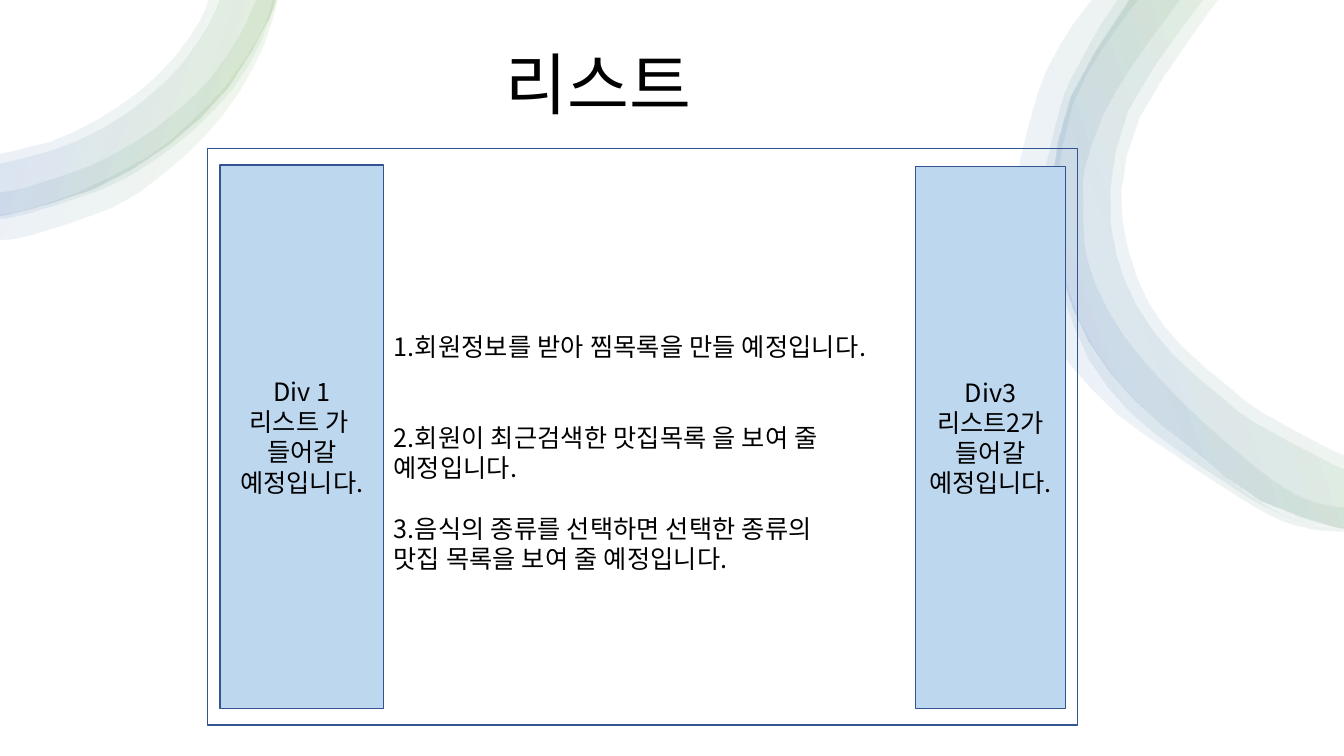
from dataclasses import dataclass

from lxml import etree
from pptx import Presentation
from pptx.dml.color import RGBColor
from pptx.enum.shapes import MSO_SHAPE
from pptx.enum.text import MSO_ANCHOR, PP_ALIGN
from pptx.oxml.ns import qn
from pptx.util import Pt

RECTANGLE = MSO_SHAPE.RECTANGLE
MIDDLE = MSO_ANCHOR.MIDDLE
LEFT, CENTER = PP_ALIGN.LEFT, PP_ALIGN.CENTER


@dataclass(frozen=True)
class Theme:
    """Colours, type sizes and line settings of the slide."""
    font: str = "Noto Sans CJK KR"
    ink: str = "000000"
    panel: str = "BDD7EE"
    outline: str = "325491"
    title_size: int = 48
    body_size: int = 18
    body_tracking: float = 0.15
    leading: float = 1.2
    line_width: int = 1
    ribbon_stops: tuple = ((2, "FFFFFF"), (16, "70AD47"), (85, "4472C4"), (100, "FFFFFF"))
    ribbon_opacity: int = 10
    left_angle: int = 160
    right_angle: int = 200


THEME = Theme()

# Each ribbon is a pair of edges in points; the page edge closes both ends.
LEFT_OUTER = [(197, 0), (192, 14), (163, 63), (120, 104), (67, 135), (7, 153), (0, 153)]
LEFT_RIBBONS = [
    ([(198, 0), (189, 30), (171, 65), (146, 97), (115, 125), (80, 148), (20, 168), (0, 171)],
     [(0, 153), (16, 150), (53, 138), (105, 112), (135, 88), (162, 60), (184, 27),
      (192, 9), (194, 0)]),
    (LEFT_OUTER,
     [(0, 110), (37, 101), (69, 86), (99, 66), (124, 42), (143, 15), (149, 0)]),
    ([(197, 0), (186, 31), (166, 64), (139, 92), (108, 116), (73, 135), (17, 153), (0, 156)],
     [(0, 137), (13, 135), (30, 130), (65, 118), (97, 101), (127, 79), (152, 54),
      (172, 24), (179, 9), (183, 0)]),
    (LEFT_OUTER,
     [(0, 117), (39, 107), (73, 92), (104, 71), (130, 46), (149, 18), (157, 0)]),
]
RIGHT_OUTER = [(807, 0), (799, 12), (765, 69), (751, 136), (758, 194), (778, 244),
               (810, 285), (852, 321), (900, 357), (954, 376), (960, 376)]
RIGHT_RIBBONS = [
    ([(780, 0), (765, 20), (752, 42), (742, 65), (729, 114), (728, 140), (729, 166),
      (741, 215), (751, 239), (764, 260), (798, 296), (836, 323), (855, 336), (875, 349),
      (894, 361), (915, 372), (937, 378), (960, 380)],
     [(960, 377), (938, 375), (917, 368), (897, 357), (878, 343), (842, 314), (809, 284),
      (781, 248), (763, 207), (755, 163), (755, 132), (766, 76), (787, 36), (813, 0)]),
    ([(799, 0), (787, 17), (770, 48), (760, 69), (748, 117), (747, 142), (753, 189),
      (760, 212), (778, 257), (807, 294), (843, 323), (879, 347), (898, 359), (919, 369),
      (935, 374), (960, 377)],
     [(960, 362), (944, 360), (925, 353), (908, 342), (891, 329), (858, 300), (829, 271),
      (803, 240), (783, 204), (775, 174), (774, 142), (775, 121), (788, 83), (809, 47),
      (834, 12), (843, 0)]),
    (RIGHT_OUTER,
     [(960, 333), (954, 332), (896, 301), (875, 285), (838, 253), (812, 218), (797, 180),
      (793, 136), (806, 79), (843, 22), (860, 0)]),
    (RIGHT_OUTER,
     [(960, 323), (955, 323), (901, 294), (880, 278), (845, 248), (821, 217), (806, 179),
      (801, 136), (814, 84), (850, 28), (870, 0)]),
]


def smooth(edge, steps=2):
    """Return points of a Catmull-Rom curve that passes through the edge."""
    padded = [edge[0], *edge, edge[-1]]
    curve = []
    for a, b, c, d in zip(padded, padded[1:], padded[2:], padded[3:]):
        for step in range(steps):
            t = step / steps
            curve.append(tuple(
                (2 * q + (r - p) * t + (2 * p - 5 * q + 4 * r - s) * t ** 2
                 + (3 * q - p - 3 * r + s) * t ** 3) / 2
                for p, q, r, s in zip(a, b, c, d)))
    return curve + [edge[-1]]


def fill_ribbon(ribbon, angle):
    """Give a ribbon its translucent gradient."""
    ribbon.fill.gradient()
    ribbon.fill.gradient_angle = angle
    stops = ribbon.element.spPr.find(qn("a:gradFill")).find(qn("a:gsLst"))
    for stop in list(stops):
        stops.remove(stop)
    for position, colour in THEME.ribbon_stops:
        stop = etree.SubElement(stops, qn("a:gs"), pos=str(position * 1000))
        tint = etree.SubElement(stop, qn("a:srgbClr"), val=colour)
        etree.SubElement(tint, qn("a:alpha"), val=str(THEME.ribbon_opacity * 1000))


def add_ribbons(slide, ribbons, angle):
    """Draw curved ribbons, each between its two edges."""
    for outer, inner in ribbons:
        outline = [(Pt(x), Pt(y)) for x, y in smooth(outer) + smooth(inner)]
        builder = slide.shapes.build_freeform(*outline[0])
        builder.add_line_segments(outline[1:], close=True)
        ribbon = builder.convert_to_shape()
        ribbon.shadow.inherit = False
        ribbon.line.fill.background()
        fill_ribbon(ribbon, angle)


def write(frame, texts, size, align=LEFT, gaps=(), tracking=0):
    """Write one paragraph per text, with gaps in lines between them."""
    frame.word_wrap = True
    for index, text in enumerate(texts):
        paragraph = frame.paragraphs[0] if index == 0 else frame.add_paragraph()
        paragraph.text = text
        paragraph.alignment = align
        paragraph.line_spacing = Pt(size * THEME.leading)
        if index:
            paragraph.space_before = Pt(gaps[index - 1] * size * THEME.leading)
        paragraph.font.size = Pt(size)
        paragraph.font.name = THEME.font
        paragraph.font.color.rgb = RGBColor.from_string(THEME.ink)
        defaults = paragraph._p.pPr.find(qn("a:defRPr"))
        etree.SubElement(defaults, qn("a:ea"), typeface=THEME.font)
        if tracking:
            defaults.set("spc", str(round(tracking * 100)))


def add_text(slide, box, texts, size, **options):
    """Place a text box."""
    label = slide.shapes.add_textbox(*map(Pt, box))
    write(label.text_frame, texts, size, **options)


def add_box(slide, box, colour=None, text=None):
    """Draw an outlined rectangle, with a fill and centred text if given."""
    area = slide.shapes.add_shape(RECTANGLE, *map(Pt, box))
    area.shadow.inherit = False
    area.line.color.rgb = RGBColor.from_string(THEME.outline)
    area.line.width = Pt(THEME.line_width)
    if colour:
        area.fill.solid()
        area.fill.fore_color.rgb = RGBColor.from_string(colour)
    else:
        area.fill.background()
    if text:
        area.text_frame.vertical_anchor = MIDDLE
        write(area.text_frame, [text], THEME.body_size, CENTER)


def main():
    """Build the list page layout slide."""
    deck = Presentation()
    deck.slide_width, deck.slide_height = Pt(960), Pt(540)
    slide = deck.slides.add_slide(deck.slide_layouts[6])

    add_ribbons(slide, LEFT_RIBBONS, THEME.left_angle)
    add_ribbons(slide, RIGHT_RIBBONS, THEME.right_angle)

    add_text(slide, (354.2, 26.6, 160, 65.5), ["리스트"], THEME.title_size)
    add_box(slide, (157.2, 118, 116.8, 388), THEME.panel,
            "Div 1\v리스트 가 \v들어갈 예정입니다.")
    add_box(slide, (654, 119, 107, 387), THEME.panel,
            "Div3\v리스트2가\v들어갈 예정입니다.")
    add_box(slide, (148.3, 106, 621.4, 411.8))
    add_text(slide, (274, 233.3, 385.2, 181.4), [
        "1.회원정보를 받아 찜목록을 만들 예정입니다.",
        "2.회원이 최근검색한 맛집목록 을 보여 줄 \v예정입니다.",
        "3.음식의 종류를 선택하면 선택한 종류의\v맛집 목록을 보여 줄 예정입니다.",
    ], THEME.body_size, gaps=(2, 1), tracking=THEME.body_tracking)

    deck.save("out.pptx")


main()
